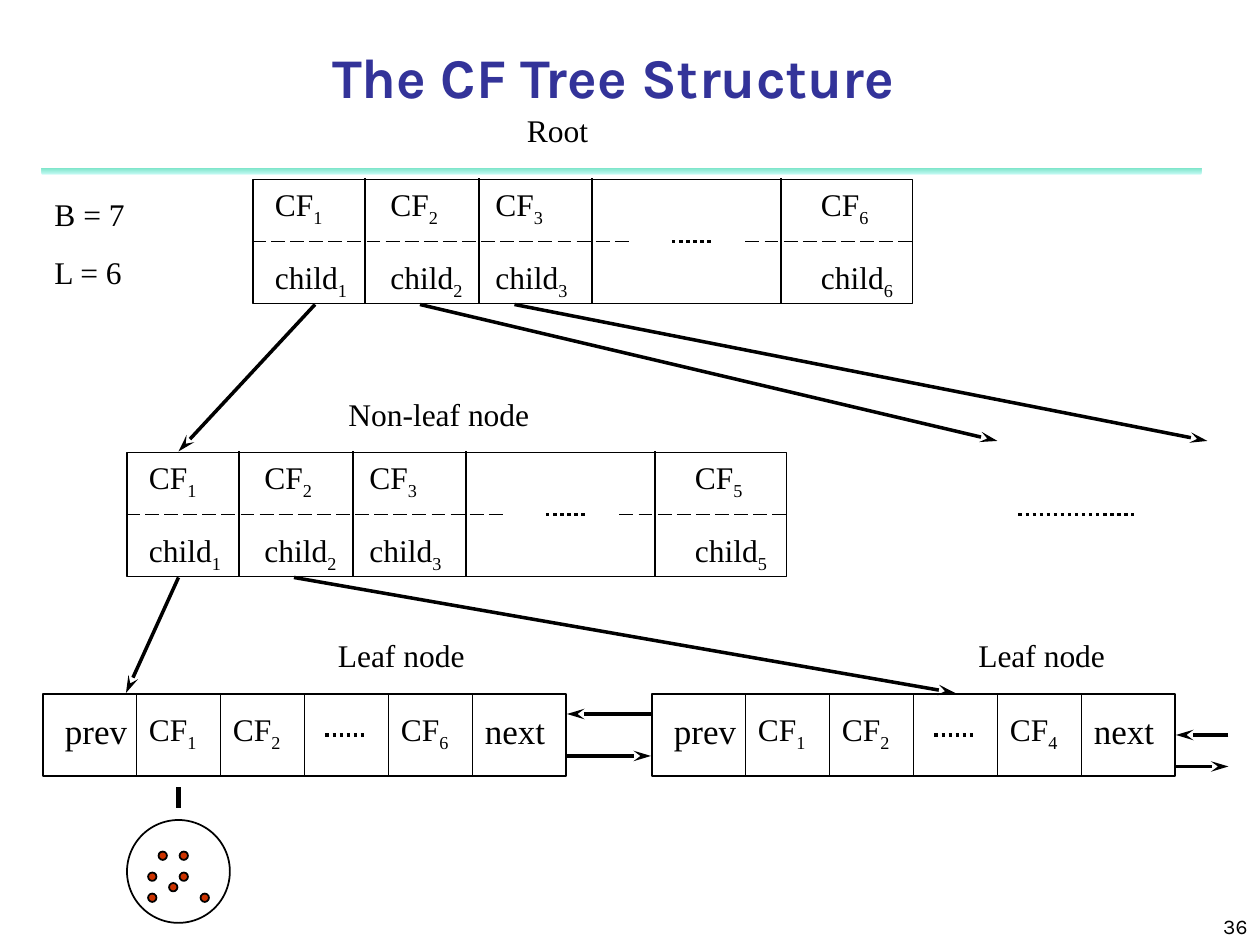
from dataclasses import dataclass

from lxml.etree import SubElement
from pptx import Presentation
from pptx.dml.color import RGBColor as RGB
from pptx.enum.dml import MSO_LINE_DASH_STYLE as Dash
from pptx.enum.shapes import MSO_CONNECTOR_TYPE as Connector, MSO_SHAPE as Shape
from pptx.enum.text import MSO_ANCHOR as Anchor, PP_ALIGN as Align
from pptx.oxml.ns import qn
from pptx.util import Cm, Pt


@dataclass(frozen=True)
class Theme:
    ink: RGB = RGB(0, 0, 0)
    heading: RGB = RGB(0x33, 0x33, 0x99)
    point: RGB = RGB(0xCC, 0x33, 0x00)
    bar: tuple = (RGB(0x8F, 0xF9, 0xEF), RGB(0x00, 0xCE, 0x98))
    bar_alpha: str = "50000"
    sans: str = "Karla"
    serif: str = "Times New Roman"
    title_size: float = 32
    link_size: float = 20
    body_size: float = 18
    page_size: float = 12
    paragraph_gap: float = 11.25
    thin: float = 1
    thick: float = 2
    stem: float = 3


THEME = Theme()
COLUMNS, ROWS = 120, 90
UNIT = 25.4 / COLUMNS
INSET = 0.1

TITLE = "The CF Tree Structure"
PARAMETERS = ["B = 7", "L = 6"]
PAGE = "36"
LABELS = [
    ("Root", 49, 10, 13),
    ("Non-leaf node", 32, 37, 26),
    ("Leaf node", 31, 60, 19),
    ("Leaf node", 92, 60, 19),
]

INNER_NODES = [
    (24, 17, (1, 2, 3, 6)),
    (12, 43, (1, 2, 3, 5)),
]
INNER_WIDTH, INNER_HEIGHT = 63, 12
INNER_DIVIDERS = (10.8, 21.6, 32.4, 50.4)
INNER_ENTRIES = (1, 12, 22, 53)
INNER_DASHES = ((0, 36), (47, 63))
INNER_DOTS = (40, 44)

LEAF_TOP = 66
LEAF_NODES = [
    (4, ("prev", "CF_1", "CF_2", None, "CF_6", "next")),
    (62, ("prev", "CF_1", "CF_2", None, "CF_4", "next")),
]
LEAF_WIDTH, LEAF_HEIGHT = 50, 8
LEAF_CELL, LEAF_FIRST = 8, 1

ARROWS = [
    ((30, 29), (17, 43)),
    ((40, 29), (95, 42)),
    ((49, 29), (115, 42)),
    ((17, 55), (12, 66)),
    ((28, 55), (91, 66)),
    ((62, 68), (54, 68)),
    ((54, 72), (62, 72)),
    ((112, 73), (117, 73)),
    ((117, 70), (112, 70)),
]
SIBLING_DOTS = ((97, 49), (108, 49))
STEM = ((17, 75), (17, 77))
CLUSTER = (12, 78, 10)
POINTS = [(15, 81), (17, 83), (17, 81), (14, 85), (14, 83), (16, 84), (19, 85)]


def grid(*units):
    return [Cm(unit * UNIT) for unit in units]


def add_text(slide, lines, left, top, width, height, *, size=THEME.body_size,
             font=THEME.serif, color=THEME.ink, bold=False,
             align=Align.LEFT, anchor=Anchor.TOP):
    frame = slide.shapes.add_textbox(*grid(left, top, width, height)).text_frame
    frame.word_wrap = True
    frame.vertical_anchor = anchor
    for index, line in enumerate(lines):
        paragraph = frame.add_paragraph() if index else frame.paragraphs[0]
        paragraph.alignment = align
        if index:
            paragraph.space_before = Pt(THEME.paragraph_gap)
        base, _, subscript = line.partition("_")
        for part in filter(None, (base, subscript)):
            run = paragraph.add_run()
            run.text = part
            run.font.size, run.font.name, run.font.bold = Pt(size), font, bold
            run.font.color.rgb = color
        if subscript:
            run._r.get_or_add_rPr().set("baseline", "-25000")


def add_line(slide, start, end, *, weight=THEME.thin, dash=None, arrow=False):
    line = slide.shapes.add_connector(Connector.STRAIGHT, *grid(*start, *end))
    line.line.color.rgb = THEME.ink
    line.line.width = Pt(weight)
    if dash:
        line.line.dash_style = dash
    properties = line._element.spPr
    if arrow:
        SubElement(properties.find(qn("a:ln")), qn("a:tailEnd"),
                   type="stealth", w="med", len="lg")
    SubElement(properties, qn("a:effectLst"))


def add_dots(slide, start, end):
    add_line(slide, start, end, weight=THEME.thick, dash=Dash.ROUND_DOT)


def add_outline(slide, preset, left, top, width, height, fill=None):
    outline = slide.shapes.add_shape(preset, *grid(
        left + INSET, top + INSET, width - 2 * INSET, height - 2 * INSET))
    outline.shadow.inherit = False
    outline.line.color.rgb = THEME.ink
    outline.line.width = Pt(THEME.thin)
    if fill is None:
        outline.fill.background()
    else:
        outline.fill.solid()
        outline.fill.fore_color.rgb = fill


def add_title_bar(slide):
    bar = slide.shapes.add_shape(Shape.RECTANGLE, *grid(4, 16, 110.4, 0.6))
    bar.shadow.inherit = False
    bar.line.fill.background()
    bar.fill.gradient()
    bar.fill.gradient_angle = 90
    for stop, color in zip(bar.fill.gradient_stops, THEME.bar):
        stop.color.rgb = color
    for color in bar._element.spPr.iter(qn("a:srgbClr")):
        SubElement(color, qn("a:alpha"), val=THEME.bar_alpha)


def add_inner_node(slide, left, top, entries):
    middle = top + INNER_HEIGHT / 2
    add_outline(slide, Shape.RECTANGLE, left, top, INNER_WIDTH, INNER_HEIGHT)
    for x in INNER_DIVIDERS:
        add_line(slide, (left + x, top), (left + x, top + INNER_HEIGHT))
    for start, end in INNER_DASHES:
        add_line(slide, (left + start, middle), (left + end, middle), dash=Dash.LONG_DASH)
    add_dots(slide, *((left + x, middle) for x in INNER_DOTS))
    for x, entry in zip(INNER_ENTRIES, entries):
        add_text(slide, [f"CF_{entry}"], left + x, top, 9, 5.3)
        add_text(slide, [f"child_{entry}"], left + x, top + 7, 12, 5.3)


def add_leaf_node(slide, left, cells):
    add_outline(slide, Shape.RECTANGLE, left, LEAF_TOP, LEAF_WIDTH, LEAF_HEIGHT)
    for index, cell in enumerate(cells):
        x = left + LEAF_FIRST + index * LEAF_CELL
        if index:
            add_line(slide, (x, LEAF_TOP), (x, LEAF_TOP + LEAF_HEIGHT))
        if cell is None:
            middle = LEAF_TOP + LEAF_HEIGHT / 2
            add_dots(slide, (x + 2, middle), (x + 6, middle))
        else:
            size = THEME.body_size if "_" in cell else THEME.link_size
            add_text(slide, [cell], x, LEAF_TOP + 1, 9, 5.2, size=size)


def main():
    deck = Presentation()
    deck.slide_width, deck.slide_height = grid(COLUMNS, ROWS)
    slide = deck.slides.add_slide(deck.slide_layouts[6])

    add_title_bar(slide)
    add_text(slide, [TITLE], 8.9, 3, 99.1, 8, size=THEME.title_size, font=THEME.sans,
             color=THEME.heading, bold=True, align=Align.CENTER, anchor=Anchor.BOTTOM)
    for node in INNER_NODES:
        add_inner_node(slide, *node)
    for node in LEAF_NODES:
        add_leaf_node(slide, *node)
    for start, end in ARROWS:
        add_line(slide, start, end, weight=THEME.thick, arrow=True)
    add_dots(slide, *SIBLING_DOTS)
    add_text(slide, PARAMETERS, 4, 18, 14, 10.3)
    for label, left, top, width in LABELS:
        add_text(slide, [label], left, top, width, 4.8)

    x, y, diameter = CLUSTER
    for point in POINTS:
        add_outline(slide, Shape.OVAL, *point, 1, 1, fill=THEME.point)
    add_outline(slide, Shape.OVAL, x, y, diameter, diameter)
    add_line(slide, *STEM, weight=THEME.stem)
    add_text(slide, [PAGE], 95, 85, 25, 5, size=THEME.page_size, font=THEME.sans,
             align=Align.RIGHT, anchor=Anchor.BOTTOM)
    deck.save("out.pptx")


if __name__ == "__main__":
    main()
